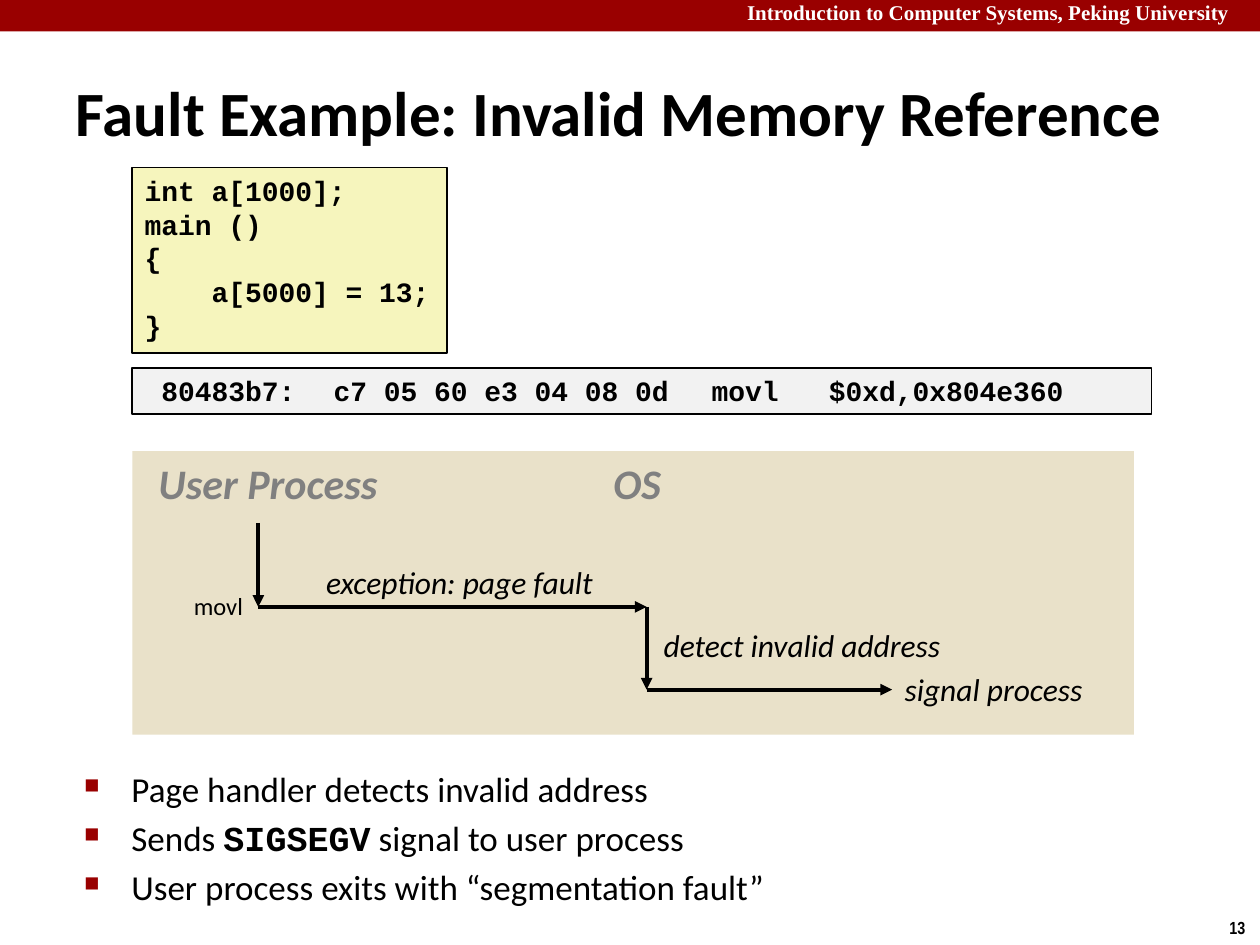
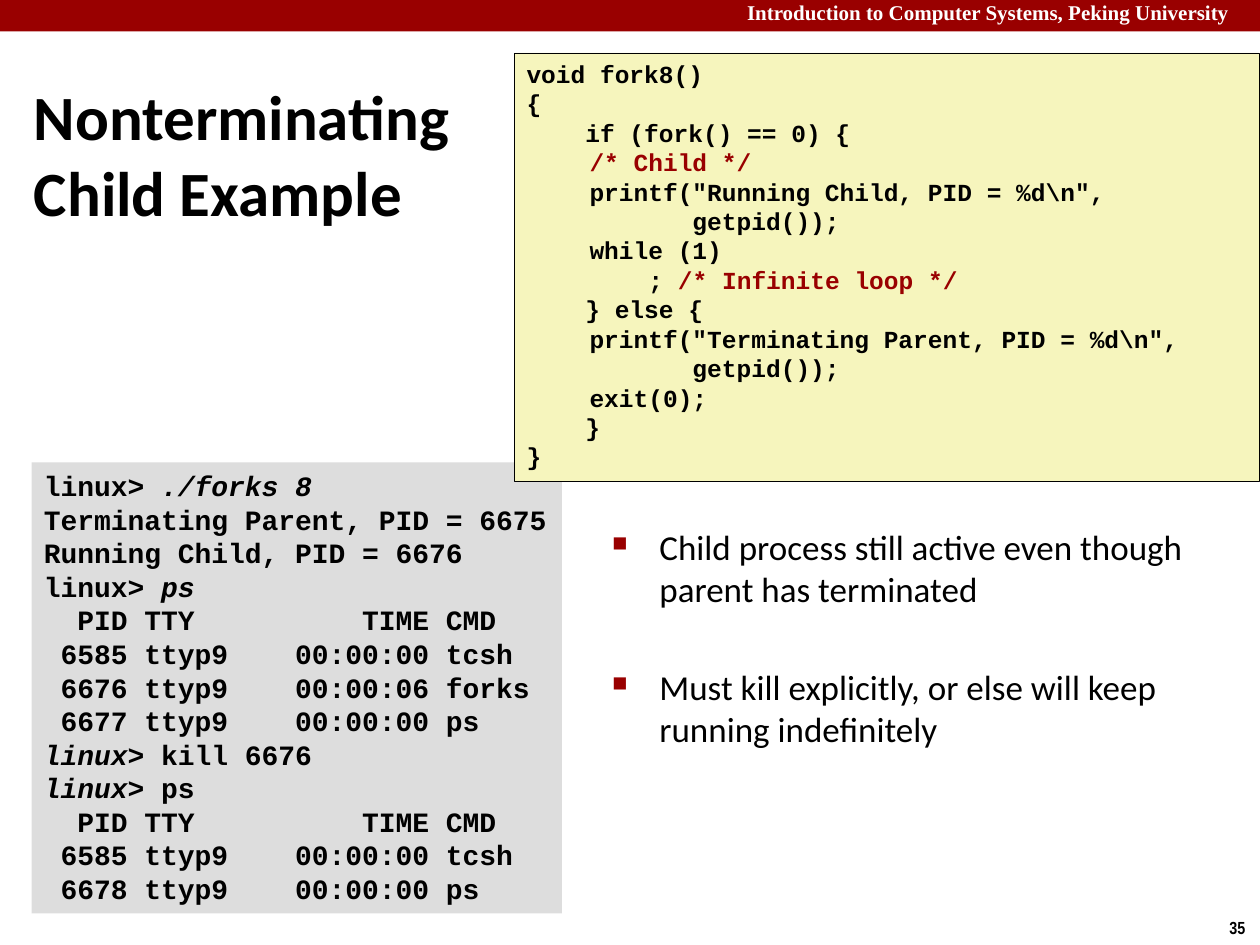
from itertools import pairwise
from lxml import etree
from pptx import Presentation
from pptx.dml.color import RGBColor
from pptx.enum import shapes, text
from pptx.oxml.ns import qn
from pptx.util import Pt

# ---- Shared look ----
COLORS = {"black": "000000", "white": "FFFFFF", "red": "990000", "code": "F6F5BD",
          "asm": "F2F2F2", "diagram": "E9E1C9", "terminal": "DDDDDD", "heading": "808080"}
SANS, MONO, SERIF, NARROW = "Calibri", "Courier New", "Times New Roman", "Arial Narrow"
WIDTH, HEIGHT = 720, 540
COURSE = "Introduction to Computer Systems, Peking University"

# Run styles that differ from the text around them
STYLES = {"plain": {}, "italic": {"italic": True}, "comment": {"color": "red"},
          "mono": {"font": MONO, "bold": True}}

# ---- Slide 1: boxes are (left, top, width, height) ----
FAULT = {
    "title": "Fault Example: Invalid Memory Reference",
    "title_box": (36, 41.8, 684, 43.9),
    "number": "13",
    "bullets": ["Page handler detects invalid address",
                [("Sends ", "plain"), ("SIGSEGV", "mono"), (" signal to user process", "plain")],
                "User process exits with “segmentation fault”"],
    "bullet_box": (41, 434.9, 528, 98.6),
    "bullet_gap": 4,
}
FAULT_CODE = ["int a[1000];", "main ()", "{", "    a[5000] = 13;", "}"]
FAULT_ASM = [" 80483b7:\tc7 05 60 e3 04 08 0d \tmovl   $0xd,0x804e360"]
HEADINGS = [("User Process", (83.5, 257.8, 150, 36)), ("OS", (343.4, 257.8, 60, 36))]
EVENTS = [("exception: page fault", (179.3, 318.2, 175, 29)),
          ("detect invalid address", (372.2, 354.2, 180, 29)),
          ("signal process", (509.8, 379.4, 126, 29))]
FLOW = [(147.6, 298.8), (147.6, 346.8), (369.5, 346.8), (369.5, 394.1), (509.8, 394.1)]

# ---- Slide 2 ----
FORK = {
    "title": "Nonterminating\vChild Example",
    "title_box": (12.2, 23.8, 288, 127.4),
    "number": "35",
    "bullets": ["Child process still active even though parent has terminated",
                "Must kill explicitly, or else will keep running indefinitely"],
    "bullet_box": (342.7, 296.6, 341.3, 213.8),
    "bullet_gap": 32,
}
FORK_CODE = [
    "void fork8()",
    "{",
    "    if (fork() == 0) {",
    [("\t", "plain"), ("/* Child */", "comment")],
    "\tprintf(\"Running Child, PID = %d\\n\",",
    "\t       getpid());",
    "\twhile (1)",
    [("\t    ; ", "plain"), ("/* Infinite loop */", "comment")],
    "    } else {",
    "\tprintf(\"Terminating Parent, PID = %d\\n\",",
    "\t       getpid());",
    "\texit(0);",
    "    }",
    "}",
]
PS_HEADER = "  PID TTY          TIME CMD"
PS_SHELL = " 6585 ttyp9    00:00:00 tcsh"
TERMINAL = [
    [("linux> ", "plain"), ("./forks 8", "italic")],
    "Terminating Parent, PID = 6675",
    "Running Child, PID = 6676",
    [("linux> ", "plain"), ("ps", "italic")],
    PS_HEADER,
    PS_SHELL,
    " 6676 ttyp9    00:00:06 forks",
    " 6677 ttyp9    00:00:00 ps",
    [("linux>", "italic"), (" kill 6676", "plain")],
    [("linux>", "italic"), (" ps", "plain")],
    PS_HEADER,
    PS_SHELL,
    " 6678 ttyp9    00:00:00 ps",
]


def rgb(name):
    return RGBColor.from_string(COLORS[name])


def format_run(r, size, font=SANS, color="black", bold=False, italic=False):
    r.font.size, r.font.name = Pt(size), font
    r.font.bold, r.font.italic = bold, italic
    r.font.color.rgb = rgb(color)


def add_bullet(p):
    pPr = p._p.get_or_add_pPr()
    pPr.set("marL", str(Pt(27)))
    pPr.set("indent", str(-Pt(27)))
    color = etree.SubElement(pPr, qn("a:buClr"))
    etree.SubElement(color, qn("a:srgbClr"), val=COLORS["red"])
    etree.SubElement(pPr, qn("a:buSzPct"), val="60000")
    etree.SubElement(pPr, qn("a:buChar"), char="■")


def write(sp, lines, size, bullets=False, gap=0, **look):
    """Fill a shape; a line is a string or a list of (text, style name)."""
    tf = sp.text_frame
    tf.word_wrap = True
    tf.margin_right = 0
    tf.vertical_anchor = text.MSO_ANCHOR.TOP
    for i, line in enumerate(lines):
        p = tf.paragraphs[0] if i == 0 else tf.add_paragraph()
        p.alignment = text.PP_ALIGN.LEFT
        if i and gap:
            p.space_before = Pt(gap)
        if bullets:
            add_bullet(p)
        for words, style in [(line, "plain")] if isinstance(line, str) else line:
            r = p.add_run()
            r.text = words
            format_run(r, size, **{**look, **STYLES[style]})


def add_text(s, box, lines, size, **look):
    write(s.shapes.add_textbox(*map(Pt, box)), lines, size, **look)


def add_panel(s, box, fill, line_width=0):
    sp = s.shapes.add_shape(shapes.MSO_SHAPE.RECTANGLE, *map(Pt, box))
    sp.shadow.inherit = False
    sp.fill.solid()
    sp.fill.fore_color.rgb = rgb(fill)
    if line_width:
        sp.line.color.rgb = rgb("black")
        sp.line.width = Pt(line_width)
    else:
        sp.line.fill.background()
    return sp


def add_code(s, box, fill, lines, size, line_width=0):
    write(add_panel(s, box, fill, line_width), lines, size, font=MONO, bold=True)


def add_arrow(s, start, end):
    c = s.shapes.add_connector(shapes.MSO_CONNECTOR.STRAIGHT, *map(Pt, start + end))
    c.line.color.rgb = rgb("black")
    c.line.width = Pt(2.25)
    etree.SubElement(c.line._get_or_add_ln(), qn("a:tailEnd"), type="triangle")
    etree.SubElement(c._element.spPr, qn("a:effectLst"))


def add_slide(prs, content):
    """Band, course name, slide number, title and bullets."""
    s = prs.slides.add_slide(prs.slide_layouts[5])
    add_panel(s, (0, 0, WIDTH, 18), "red")
    add_text(s, (419.8, -3.6, 300.2, 21.6), [COURSE], 12, font=SERIF, color="white", bold=True)
    add_text(s, (695.5, 520.6, 24.5, 19.4), [content["number"]], 10, font=NARROW, bold=True)

    title = s.shapes.title
    title.left, title.top, title.width, title.height = map(Pt, content["title_box"])
    tf = title.text_frame
    tf.text = content["title"]
    tf.auto_size = text.MSO_AUTO_SIZE.NONE
    tf.vertical_anchor = text.MSO_ANCHOR.MIDDLE
    p = tf.paragraphs[0]
    p.alignment = text.PP_ALIGN.LEFT
    for r in p.runs:
        format_run(r, 36, bold=True)

    add_text(s, content["bullet_box"], content["bullets"], 20,
             bullets=True, gap=content["bullet_gap"])
    return s


def build_fault(prs):
    s = add_slide(prs, FAULT)
    add_code(s, (75.6, 95.8, 180, 105.8), "code", FAULT_CODE, 16, 1)
    add_code(s, (75.6, 210.2, 582.5, 26.6), "asm", FAULT_ASM, 16, 1)

    # Control flow between the process and the OS
    add_panel(s, (75.6, 257.8, 572.4, 162), "diagram")
    for label, box in HEADINGS:
        add_text(s, box, [label], 24, color="heading", bold=True, italic=True)
    for start, end in pairwise(FLOW):
        add_arrow(s, start, end)
    for label, box in EVENTS:
        add_text(s, box, [label], 18, italic=True)
    add_text(s, (103.7, 334.1, 43.2, 24.5), ["movl"], 14)


def build_fork(prs):
    s = add_slide(prs, FORK)
    add_code(s, (18, 264.2, 303.1, 257.8), "terminal", TERMINAL, 16)
    add_code(s, (293.8, 30.2, 425.6, 244.8), "code", FORK_CODE, 14, 0.25)


def main():
    prs = Presentation()
    prs.slide_width, prs.slide_height = Pt(WIDTH), Pt(HEIGHT)
    build_fault(prs)
    build_fork(prs)
    prs.save("out.pptx")


if __name__ == "__main__":
    main()
